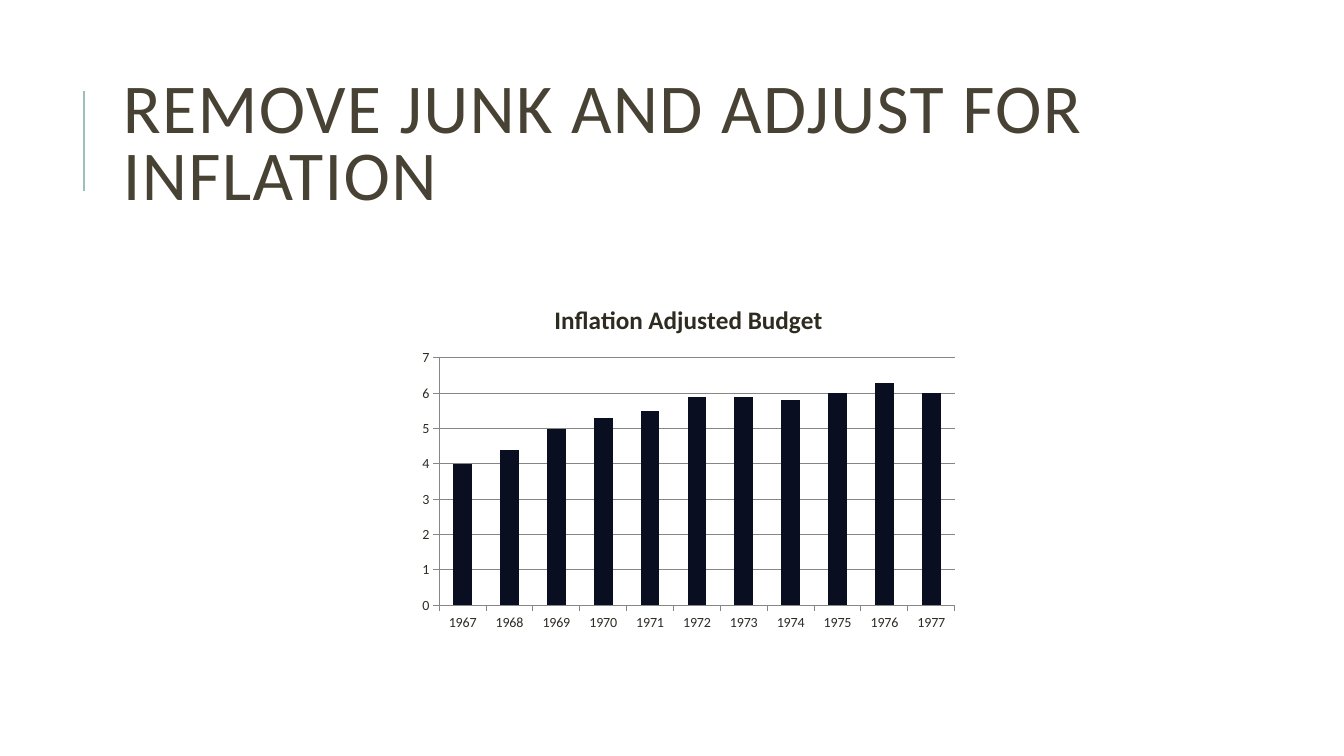
"""Build a slide with an inflation-adjusted budget column chart."""
import dataclasses

import pptx
import pptx.chart.data
import pptx.dml.color
import pptx.enum.chart
import pptx.enum.shapes
import pptx.enum.text
import pptx.util
from lxml import etree


@dataclasses.dataclass(frozen=True)
class Theme:
    """Hold the colours, font and type sizes."""
    font: str = "Calibri"
    background: str = "FFFFFF"
    heading: str = "474233"
    accent: str = "9CBEBD"
    chart_text: str = "2E2B21"
    column: str = "090E21"
    axis: str = "868686"
    heading_size: float = 50
    chart_title_size: float = 18
    chart_size: float = 10


def rgb(value):
    """Turn a hexadecimal string into a colour."""
    return pptx.dml.color.RGBColor.from_string(value)


def style_font(font, name, size, color, bold=False):
    """Apply name, size, colour and weight to a font."""
    font.name, font.size, font.bold = name, pptx.util.Pt(size), bold
    font.color.rgb = rgb(color)


def write_text(text_frame, text, line_spacing=None, letter_spacing=None, **font_format):
    """Write one formatted paragraph into a text frame."""
    paragraph = text_frame.paragraphs[0]
    if line_spacing:
        paragraph.line_spacing = line_spacing
    run = paragraph.add_run()
    run.text = text
    style_font(run.font, **font_format)
    if letter_spacing:
        run.font._element.set("spc", str(int(letter_spacing * 100)))


class SlideBuilder:
    """Place styled elements on a slide by shares of its size."""

    def __init__(self, presentation, theme):
        """Add a blank slide with the theme's background."""
        self.presentation, self.theme = presentation, theme
        self.slide = presentation.slides.add_slide(presentation.slide_layouts[6])
        self.slide.background.fill.solid()
        self.slide.background.fill.fore_color.rgb = rgb(theme.background)

    def place(self, *shares):
        """Turn alternating horizontal and vertical shares into lengths."""
        sizes = (self.presentation.slide_width, self.presentation.slide_height)
        return [round(share * sizes[index % 2]) for index, share in enumerate(shares)]

    def rule(self, *ends, width=1.5):
        """Draw an accent line between two points."""
        line = self.slide.shapes.add_connector(
            pptx.enum.shapes.MSO_CONNECTOR.STRAIGHT, *self.place(*ends))
        line.line.color.rgb = rgb(self.theme.accent)
        line.line.width = pptx.util.Pt(width)
        etree.SubElement(line._element.spPr, pptx.oxml.ns.qn("a:effectLst"))

    def heading(self, text, *box):
        """Add the slide heading."""
        text_frame = self.slide.shapes.add_textbox(*self.place(*box)).text_frame
        text_frame.word_wrap = True
        text_frame.vertical_anchor = pptx.enum.text.MSO_ANCHOR.MIDDLE
        write_text(text_frame, text, line_spacing=0.8, letter_spacing=1,
                   name=self.theme.font, size=self.theme.heading_size,
                   color=self.theme.heading)

    def column_chart(self, title, values, *box):
        """Add a titled column chart of a mapping of values."""
        theme = self.theme
        data = pptx.chart.data.CategoryChartData()
        data.categories = list(values)
        data.add_series(title, list(values.values()))
        chart = self.slide.shapes.add_chart(
            pptx.enum.chart.XL_CHART_TYPE.COLUMN_CLUSTERED, *self.place(*box), data).chart
        style_font(chart.font, theme.font, theme.chart_size, theme.chart_text)
        chart.has_legend = False
        chart.has_title = True
        write_text(chart.chart_title.text_frame, title, name=theme.font,
                   size=theme.chart_title_size, color=theme.chart_text, bold=True)
        plot = chart.plots[0]
        plot.gap_width, plot.vary_by_categories = 150, False
        fill = plot.series[0].format.fill
        fill.solid()
        fill.fore_color.rgb = rgb(theme.column)
        value_axis = chart.value_axis
        value_axis.minimum_scale, value_axis.maximum_scale, value_axis.major_unit = 0, 7, 1
        value_axis.has_major_gridlines = True
        for axis in (chart.category_axis, value_axis):
            axis.major_tick_mark = pptx.enum.chart.XL_TICK_MARK.OUTSIDE
        for lined in (chart.category_axis, value_axis, value_axis.major_gridlines):
            lined.format.line.color.rgb = rgb(theme.axis)
            lined.format.line.width = pptx.util.Pt(0.75)


def main():
    """Create and save the presentation."""
    presentation = pptx.Presentation()
    presentation.slide_width = pptx.util.Inches(13.33)
    presentation.slide_height = pptx.util.Inches(7.5)
    builder = SlideBuilder(presentation, Theme())
    builder.rule(0.0625, 0.253, 0.0625, 0.12)
    builder.heading("REMOVE JUNK AND ADJUST FOR INFLATION", 0.084, 0.085, 0.797, 0.219)
    budgets = [4, 4.4, 5, 5.3, 5.5, 5.9, 5.9, 5.8, 6, 6.3, 6]
    by_year = {str(year): budget for year, budget in enumerate(budgets, start=1967)}
    builder.column_chart("Inflation Adjusted Budget", by_year, 0.306, 0.377, 0.4126, 0.467)
    presentation.save("out.pptx")


if __name__ == "__main__":
    main()
